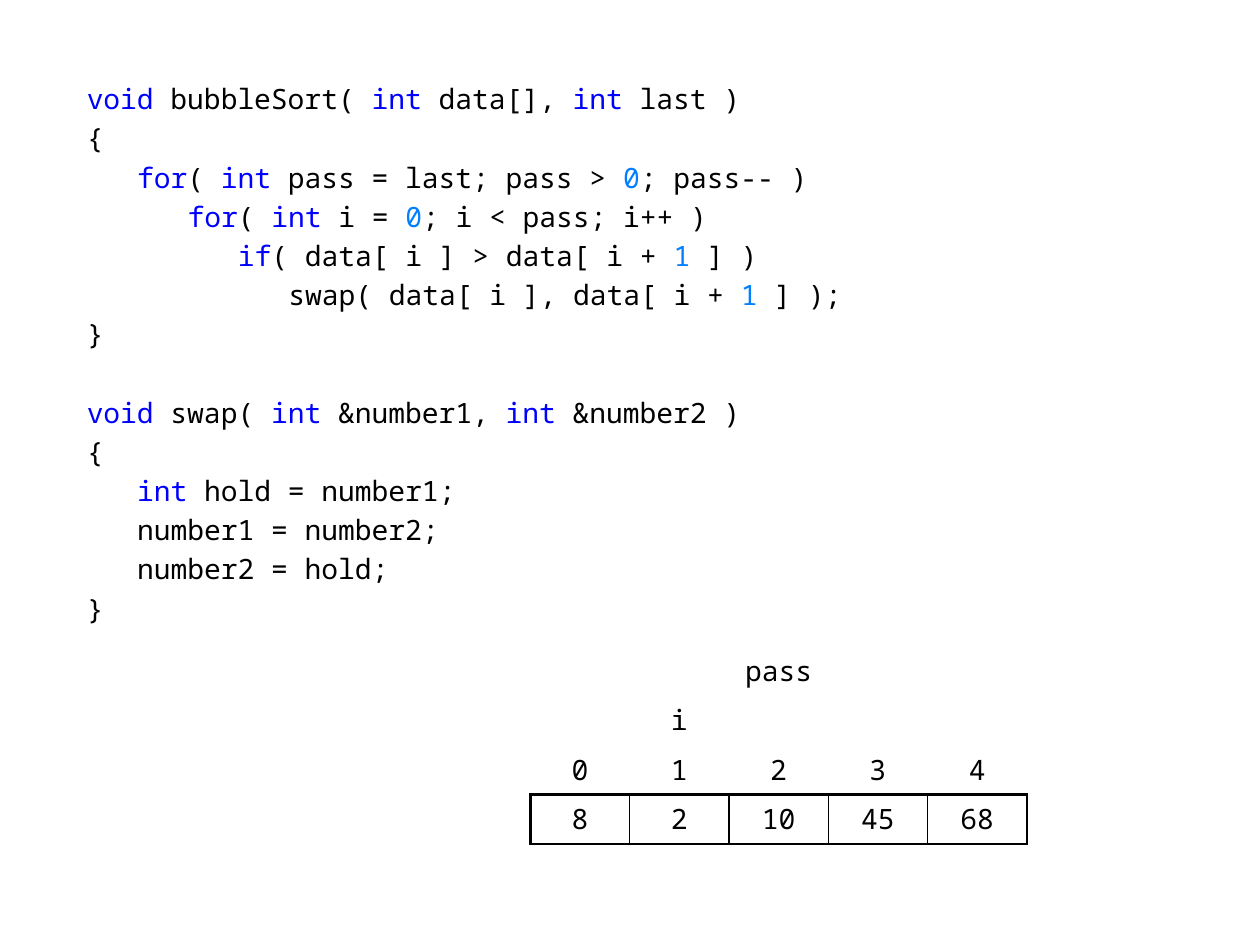
from dataclasses import dataclass

from pptx import Presentation
from pptx.dml.color import RGBColor
from pptx.enum.text import MSO_ANCHOR, PP_ALIGN
from pptx.oxml.xmlchemy import OxmlElement
from pptx.util import Inches, Pt

MIDDLE = MSO_ANCHOR.MIDDLE
CENTER = PP_ALIGN.CENTER


@dataclass(frozen=True)
class Theme:
    font: str = "Noto Sans Mono"
    size: float = 16
    text: str = "000000"
    keyword: str = "0000FF"
    literal: str = "0080FF"
    thick: float = 1.5
    thin: float = 0.75


@dataclass(frozen=True)
class CodeLine:
    depth: int
    markup: str
    space_before: float = 3.2


THEME = Theme()
INDENT = 0.4
BLANK_LINE = 25.6
CODE = [
    CodeLine(0, "`void` bubbleSort( `int` data[], `int` last )"),
    CodeLine(0, "{"),
    CodeLine(1, "`for`( `int` pass = last; pass > `0`; pass-- )"),
    CodeLine(2, "`for`( `int` i = `0`; i < pass; i++ )"),
    CodeLine(3, "`if`( data[ i ] > data[ i + `1` ] )"),
    CodeLine(4, "swap( data[ i ], data[ i + `1` ] );"),
    CodeLine(0, "}"),
    CodeLine(0, "`void` swap( `int` &number1, `int` &number2 )", BLANK_LINE),
    CodeLine(0, "{"),
    CodeLine(1, "`int` hold = number1;"),
    CodeLine(1, "number1 = number2;"),
    CodeLine(1, "number2 = hold;"),
    CodeLine(0, "}"),
]
ARRAY_ROWS = [
    ["", "", "pass", "", ""],
    ["", "i", "", "", ""],
    ["0", "1", "2", "3", "4"],
    ["8", "2", "10", "45", "68"],
]


def set_values(target, values: dict) -> None:
    for name, value in values.items():
        setattr(target, name, value)


def add_span(para, text: str, color: str) -> None:
    span = para.add_run()
    span.text = text
    set_values(span.font, {"name": THEME.font, "size": Pt(THEME.size)})
    span.font.color.rgb = RGBColor.from_string(color)


def add_code(page, lines: list[CodeLine]) -> None:
    box = page.shapes.add_textbox(Inches(0.59), Inches(0.6), Inches(8.82), Inches(4.57))
    frame = box.text_frame
    frame.word_wrap = True
    for index, line in enumerate(lines):
        para = frame.add_paragraph() if index else frame.paragraphs[0]
        para.space_before = Pt(line.space_before)
        properties = para._p.get_or_add_pPr()
        properties.set("marL", str(Inches(INDENT * line.depth)))
        properties.set("indent", "0")
        for position, text in enumerate(line.markup.split("`")):
            marked = THEME.literal if text.isdigit() else THEME.keyword
            if text:
                add_span(para, text, marked if position % 2 else THEME.text)


def add_border(cell, side: str, width: float) -> None:
    border = OxmlElement(f"a:ln{side}")
    border.set("w", str(Pt(width)))
    fill = OxmlElement("a:solidFill")
    color = OxmlElement("a:srgbClr")
    color.set("val", THEME.text)
    fill.append(color)
    border.append(fill)
    cell._tc.get_or_add_tcPr().append(border)


def cell_borders(row: int, column: int) -> dict[str, float]:
    last_row, last_column = len(ARRAY_ROWS) - 1, len(ARRAY_ROWS[0]) - 1
    if row == last_row:
        return {
            "L": THEME.thin if column else THEME.thick,
            "R": THEME.thin if column < last_column else THEME.thick,
            "T": THEME.thick,
            "B": THEME.thick,
        }
    return {"B": THEME.thick} if row == last_row - 1 else {}


def add_array(page, rows: list[list[str]]) -> None:
    shape = page.shapes.add_table(
        len(rows), len(rows[0]), Inches(4.21), Inches(5.13), Inches(3.94), Inches(1.57)
    )
    table = shape.table
    set_values(table, {"first_row": False, "horz_banding": False})
    cell_format = {
        "vertical_anchor": MIDDLE,
        "margin_left": Inches(0.04),
        "margin_right": Inches(0.04),
        "margin_top": Inches(0.04),
        "margin_bottom": Inches(0.05),
    }
    for row, texts in enumerate(rows):
        for column, text in enumerate(texts):
            cell = table.cell(row, column)
            set_values(cell, cell_format)
            for side, width in cell_borders(row, column).items():
                add_border(cell, side, width)
            cell.fill.background()
            para = cell.text_frame.paragraphs[0]
            para.alignment = CENTER
            if text:
                add_span(para, text, THEME.text)


def main() -> None:
    deck = Presentation()
    set_values(deck, {"slide_width": Inches(10), "slide_height": Inches(7.5)})
    page = deck.slides.add_slide(deck.slide_layouts[6])
    add_code(page, CODE)
    add_array(page, ARRAY_ROWS)
    deck.save("out.pptx")


if __name__ == "__main__":
    main()
